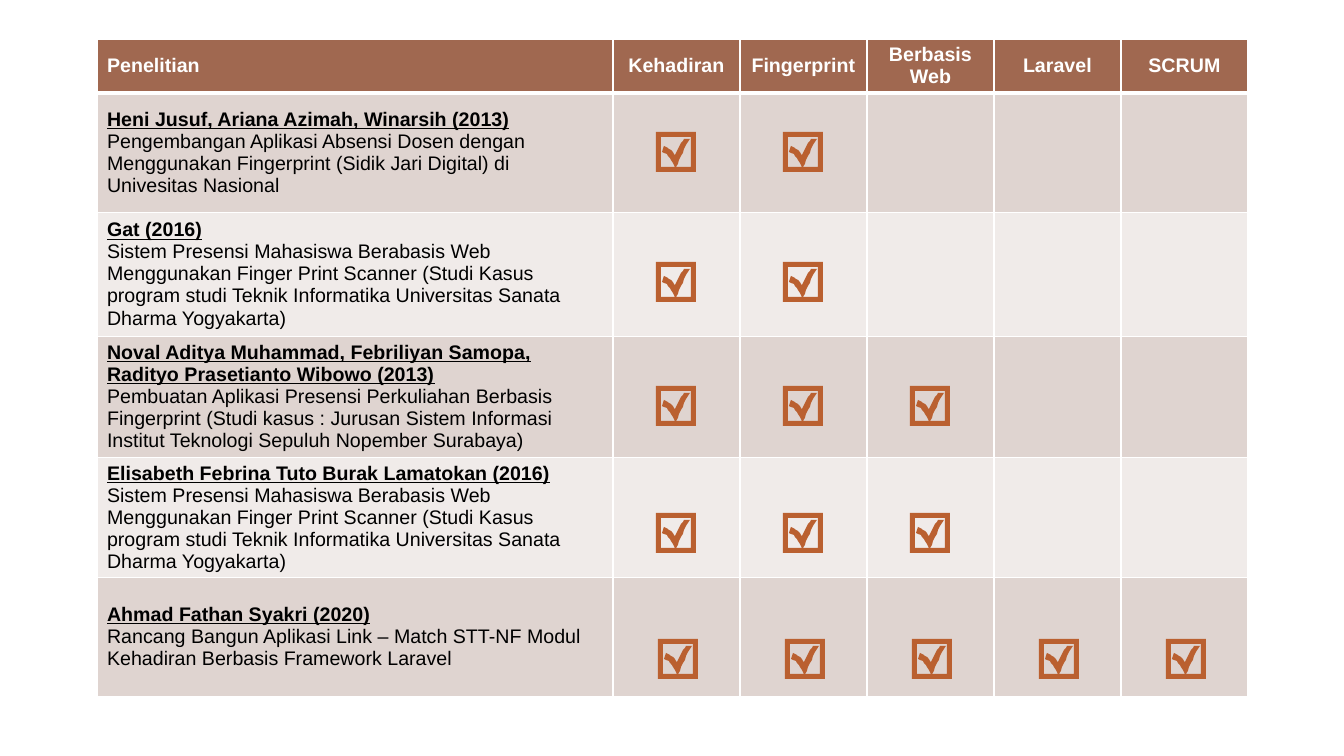
from lxml import etree
from pptx import Presentation, util as u
from pptx.dml.color import RGBColor
from pptx.enum import text
from pptx.oxml.ns import qn

# Content
HEADERS = ["Penelitian", "Kehadiran", "Fingerprint", "Berbasis Web", "Laravel", "SCRUM"]
# authors, title, number of features ticked from the left
STUDIES = [
    ("Heni Jusuf, Ariana Azimah, Winarsih (2013)",
     "Pengembangan Aplikasi Absensi Dosen dengan Menggunakan Fingerprint "
     "(Sidik Jari Digital) di Univesitas Nasional", 2),
    ("Gat (2016)",
     "Sistem Presensi Mahasiswa Berabasis Web Menggunakan Finger Print Scanner "
     "(Studi Kasus program studi Teknik Informatika Universitas Sanata Dharma Yogyakarta)", 2),
    ("Noval Aditya Muhammad, Febriliyan Samopa, Radityo Prasetianto Wibowo (2013)",
     "Pembuatan Aplikasi Presensi Perkuliahan Berbasis Fingerprint (Studi kasus : "
     "Jurusan Sistem Informasi Institut Teknologi Sepuluh Nopember Surabaya)", 3),
    ("Elisabeth Febrina Tuto Burak Lamatokan (2016)",
     "Sistem Presensi Mahasiswa Berabasis Web Menggunakan Finger Print Scanner "
     "(Studi Kasus program studi Teknik Informatika Universitas Sanata Dharma Yogyakarta)", 3),
    ("Ahmad Fathan Syakri (2020)",
     "Rancang Bangun Aplikasi Link – Match STT-NF Modul Kehadiran Berbasis "
     "Framework Laravel", 5),
]

# Layout in px
PX = 914400 / 100.8
LEFT, TOP = 97, 39
STUDY_W, FEATURE_W = 516, 127
ROW_H = [53, 119, 124, 121, 120, 119]
TICK_AT = [(656, 132), (656, 262), (656, 386), (656, 513), (658, 639)]
BOX = [(0, 0), (40, 0), (40, 40), (0, 40)]
# Cut-out of the box: a pair is a corner, three pairs are a Bézier curve
CUTOUT = [
    (5, 5), (5, 35), (19, 35), ((16, 30), (13, 21), (6, 20)), (8, 14),
    ((14, 17), (16, 19), (19, 23)), ((22, 17), (24, 13), (28, 7)), (34, 7),
    ((29, 15), (24, 26), (20, 35)), (35, 35), (35, 5),
]
HEAD, BANDS, TICK = "A06850", ["DFD4D0", "F0EBE9"], "BA6030"
WHITE, BLACK = "FFFFFF", "000000"


def px(n):
    return u.Emu(round(n * PX))


def rgb(code):
    return RGBColor.from_string(code)


def flatten(path, steps=8):
    """Turn corners and curves into a list of points."""
    points = []
    for part in path:
        if not isinstance(part[0], tuple):
            points.append(part)
            continue
        a, (b, c, d) = points[-1], part
        for i in range(1, steps + 1):
            t = i / steps
            points.append(tuple(
                (1 - t) ** 3 * a[k] + 3 * (1 - t) ** 2 * t * b[k]
                + 3 * (1 - t) * t ** 2 * c[k] + t ** 3 * d[k] for k in (0, 1)))
    return points


def style_cell(cell, fill, bottom, top):
    tcPr = cell._tc.get_or_add_tcPr()
    for side, width in (("L", 1), ("R", 1), ("T", top), ("B", bottom)):
        ln = etree.SubElement(tcPr, qn(f"a:ln{side}"), w=str(u.Pt(width)))
        solid = etree.SubElement(ln, qn("a:solidFill"))
        etree.SubElement(solid, qn("a:srgbClr"), val=WHITE)
    cell.fill.solid()
    cell.fill.fore_color.rgb = rgb(fill)
    cell.vertical_anchor = text.MSO_ANCHOR.MIDDLE


def write(p, words, color, bold, underline=False):
    p.text = words
    f = p.font
    f.name, f.size, f.bold, f.underline = "Arial", u.Pt(14), bold, underline
    f.color.rgb = rgb(color)


def add_tick(s, x, y):
    fb = s.shapes.build_freeform(*BOX[0], scale=PX)
    fb.add_line_segments(BOX[1:])
    hole = flatten(CUTOUT)
    fb.move_to(*hole[0])
    fb.add_line_segments(hole[1:])
    sp = fb.convert_to_shape(px(x), px(y))
    sp.shadow.inherit = False
    sp.fill.solid()
    sp.fill.fore_color.rgb = rgb(TICK)
    sp.line.fill.background()


def main():
    prs = Presentation()
    prs.slide_width, prs.slide_height = px(1344), px(756)
    s = prs.slides.add_slide(prs.slide_layouts[6])

    # Table grid
    widths = [STUDY_W] + [FEATURE_W] * (len(HEADERS) - 1)
    table = s.shapes.add_table(len(ROW_H), len(widths), px(LEFT), px(TOP),
                               px(sum(widths)), px(sum(ROW_H))).table
    for column, w in zip(table.columns, widths):
        column.width = px(w)
    for i, (row, h) in enumerate(zip(table.rows, ROW_H)):
        row.height = px(h)
        for cell in row.cells:
            style_cell(cell, BANDS[(i - 1) % 2] if i else HEAD,
                       bottom=1 if i else 3, top=3 if i == 1 else 1)

    # Header row
    for j, header in enumerate(HEADERS):
        p = table.cell(0, j).text_frame.paragraphs[0]
        write(p, header, WHITE, True)
        p.alignment = text.PP_ALIGN.CENTER if j else text.PP_ALIGN.LEFT

    # Studies and their ticks
    for i, (authors, title, ticks) in enumerate(STUDIES):
        tf = table.cell(i + 1, 0).text_frame
        write(tf.paragraphs[0], authors, BLACK, True, True)
        write(tf.add_paragraph(), title, BLACK, False)
        x, y = TICK_AT[i]
        for j in range(ticks):
            add_tick(s, x + j * FEATURE_W, y)

    prs.save("out.pptx")


if __name__ == "__main__":
    main()
